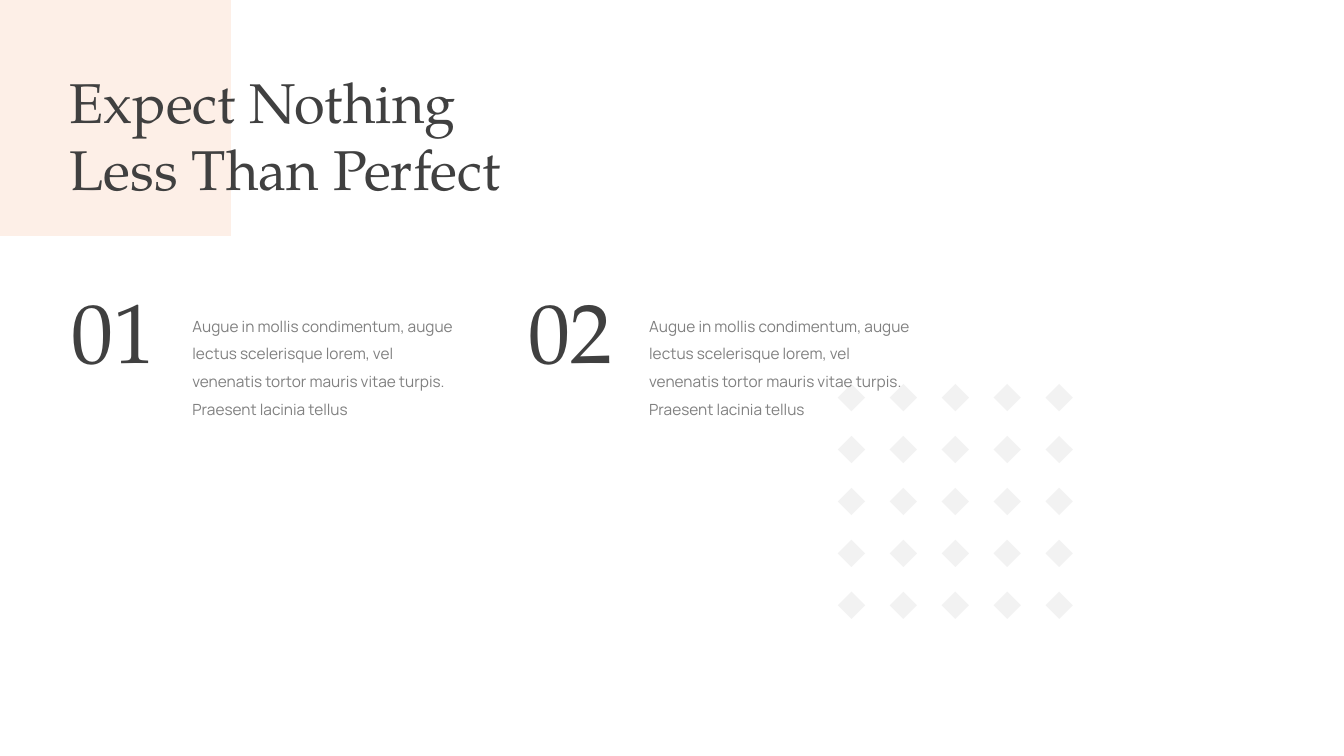
from lxml.etree import SubElement
from pptx import Presentation
from pptx.dml.color import RGBColor
from pptx.enum.shapes import MSO_SHAPE
from pptx.enum.text import MSO_AUTO_SIZE, PP_ALIGN
from pptx.oxml.ns import qn
from pptx.util import Inches, Pt

SERIF, SANS = "TeX Gyre Pagella", "Manrope"
DARK, GREY, PALE, PEACH = "404040", "808080", "F2F2F2", "FDEFE6"


def add_filled(shapes, preset, left, top, width, height, color):
    shape = shapes.add_shape(preset, Inches(left), Inches(top), Inches(width), Inches(height))
    shape.shadow.inherit = False
    shape.fill.solid()
    shape.fill.fore_color.rgb = RGBColor.from_string(color)
    shape.line.fill.background()
    return shape


def add_text(left, top, width, height, text, font, size, color):
    """Add a wrapped one-paragraph text box and return its paragraph."""
    box = slide.shapes.add_textbox(Inches(left), Inches(top), Inches(width), Inches(height))
    frame = box.text_frame
    frame.word_wrap = True
    frame.auto_size = MSO_AUTO_SIZE.SHAPE_TO_FIT_TEXT
    paragraph = frame.paragraphs[0]
    paragraph.text = text
    paragraph.font.name = font
    paragraph.font.size = Pt(size)
    paragraph.font.color.rgb = RGBColor.from_string(color)
    return paragraph


prs = Presentation()
prs.slide_width, prs.slide_height = Inches(13.33), Inches(7.5)
slide = prs.slides.add_slide(prs.slide_layouts[6])

# Title over a slightly transparent corner block
corner = add_filled(slide.shapes, MSO_SHAPE.RECTANGLE, 0, 0, 2.29, 2.34, PEACH)
corner_color = next(corner.fill._xPr.iter(qn("a:srgbClr")))
SubElement(corner_color, qn("a:alpha"), val="95000")
add_text(0.59, 0.62, 4.76, 1.45, "Expect Nothing Less Than Perfect", SERIF, 40, DARK)

# Five by five field of diamonds
diamonds = slide.shapes.add_group_shape()
pitch = (10.37 - 8.31) / 4
for row in range(5):
    for column in range(5):
        add_filled(diamonds.shapes, MSO_SHAPE.DIAMOND,
                   8.31 + column * pitch, 3.81 + row * pitch, 0.27, 0.27, PALE)

# Numbered points
description = ("Augue in mollis condimentum, augue lectus scelerisque lorem, vel "
               "venenatis tortor mauris vitae turpis. Praesent lacinia tellus")
for number, left in (("01", 0.12), ("02", 4.65)):
    body = add_text(left + 1.69, 3, 2.81, 1.21, description, SANS, 11, GREY)
    body.line_spacing = 1.5
    numeral = add_text(left, 2.72, 1.52, 1.11, number, SERIF, 60, DARK)
    numeral.alignment = PP_ALIGN.RIGHT

prs.save("out.pptx")
